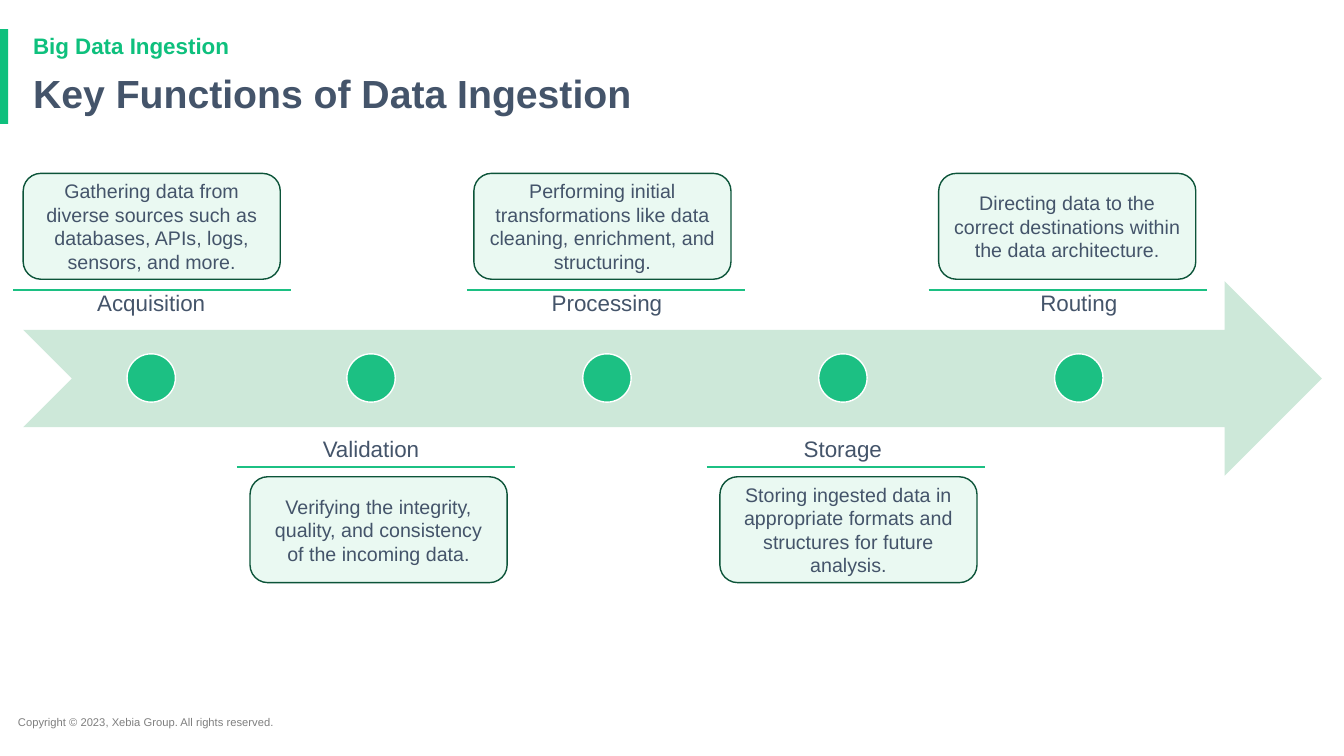
from dataclasses import dataclass

from pptx import Presentation
from pptx.dml.color import RGBColor
from pptx.enum import shapes, text
from pptx.oxml import ns, xmlchemy
from pptx.util import Inches, Pt


@dataclass(frozen=True)
class Theme:
    font: str = "Arial"
    green: str = "0EC07D"
    dot: str = "1CC083"
    arrow: str = "CDE8D9"
    card: str = "EAF9F2"
    card_line: str = "0C5439"
    ink: str = "44546A"
    grey: str = "7F7F7F"
    white: str = "FFFFFF"
    title_size: int = 28
    label_size: int = 16
    body_size: int = 14
    footer_size: int = 8


theme = Theme()
KIND = shapes.MSO_SHAPE
TOP, MIDDLE, BOTTOM = text.MSO_ANCHOR.TOP, text.MSO_ANCHOR.MIDDLE, text.MSO_ANCHOR.BOTTOM
LEFT, CENTER = text.PP_ALIGN.LEFT, text.PP_ALIGN.CENTER

prs = Presentation()
prs.slide_width, prs.slide_height = Inches(13.33), Inches(7.5)
s = prs.slides.add_slide(prs.slide_layouts[6])


def add_filled(kind, box, fill, line=None):
    sp = s.shapes.add_shape(kind, *map(Inches, box))
    sp.shadow.inherit = False
    sp.fill.solid()
    sp.fill.fore_color.rgb = RGBColor.from_string(fill)
    if line:
        sp.line.color.rgb = RGBColor.from_string(line)
        sp.line.width = Pt(1)
    else:
        sp.line.fill.background()
    return sp


def write(sp, words, size, color, anchor=TOP, align=LEFT, bold=False, spacing=0.9):
    tf = sp.text_frame
    tf.word_wrap = True
    tf.vertical_anchor = anchor
    tf.text = words
    p = tf.paragraphs[0]
    p.alignment = align
    p.line_spacing = spacing
    f = p.runs[0].font
    f.name, f.size, f.bold = theme.font, Pt(size), bold
    f.color.rgb = RGBColor.from_string(color)


# Heading and footer
add_filled(KIND.RECTANGLE, (0, 0.29, 0.08, 0.94), theme.green)
for box, words, size, color, bold, spacing in (
    ((0.08, 7.05, 8.43, 0.24), "Copyright © 2023, Xebia Group. All rights reserved.",
     theme.footer_size, theme.grey, False, 1.0),
    ((0.23, 0.3, 11.5, 0.33), "Big Data Ingestion", theme.label_size, theme.green, True, 0.9),
    ((0.23, 0.69, 11.5, 0.54), "Key Functions of Data Ingestion",
     theme.title_size, theme.ink, True, 0.9),
):
    write(s.shapes.add_textbox(*map(Inches, box)), words, size, color, bold=bold, spacing=spacing)

# Timeline: steps alternate above and below the arrow
add_filled(KIND.NOTCHED_RIGHT_ARROW, (0.23, 2.79, 12.88, 1.93), theme.arrow)
DOT, LABEL_W, LABEL_H, CARD_W, CARD_H, RULE_W = 0.48, 2.23, 0.51, 2.55, 1.05, 2.76

# name, dot centre, card left, rule left, description
steps = (
    ("Acquisition", 1.5, 0.23, 0.13,
     "Gathering data from diverse sources such as databases, APIs, logs, sensors, and more."),
    ("Validation", 3.68, 2.48, 2.35,
     "Verifying the integrity, quality, and consistency of the incoming data."),
    ("Processing", 6.02, 4.7, 4.63,
     "Performing initial transformations like data cleaning, enrichment, and structuring."),
    ("Storage", 8.36, 7.14, 7.01,
     "Storing ingested data in appropriate formats and structures for future analysis."),
    ("Routing", 10.7, 9.31, 9.21,
     "Directing data to the correct destinations within the data architecture."),
)
for i, (name, center, card_x, rule_x, description) in enumerate(steps):
    if i % 2 == 0:
        label_y, anchor, card_y, rule_y = 2.75, BOTTOM, 1.72, 2.88
    else:
        label_y, anchor, card_y, rule_y = 4.23, TOP, 4.73, 4.63

    label = s.shapes.add_textbox(
        *map(Inches, (center - LABEL_W / 2, label_y, LABEL_W, LABEL_H)))
    tf = label.text_frame
    tf.margin_left = tf.margin_right = tf.margin_top = tf.margin_bottom = Inches(0.12)
    write(label, name, theme.label_size, theme.ink, anchor, CENTER)

    add_filled(KIND.OVAL, (center - DOT / 2, 3.51, DOT, DOT), theme.dot, theme.white)

    card = add_filled(KIND.ROUNDED_RECTANGLE, (card_x, card_y, CARD_W, CARD_H),
                      theme.card, theme.card_line)
    write(card, description, theme.body_size, theme.ink, MIDDLE, CENTER, spacing=1.0)

    rule = s.shapes.add_connector(
        shapes.MSO_CONNECTOR.STRAIGHT,
        *map(Inches, (rule_x, rule_y, rule_x + RULE_W, rule_y)))
    rule.line.color.rgb = RGBColor.from_string(theme.dot)
    rule.line.width = Pt(1.5)
    rule._element.spPr.append(xmlchemy.OxmlElement("a:effectLst"))

prs.save("out.pptx")
